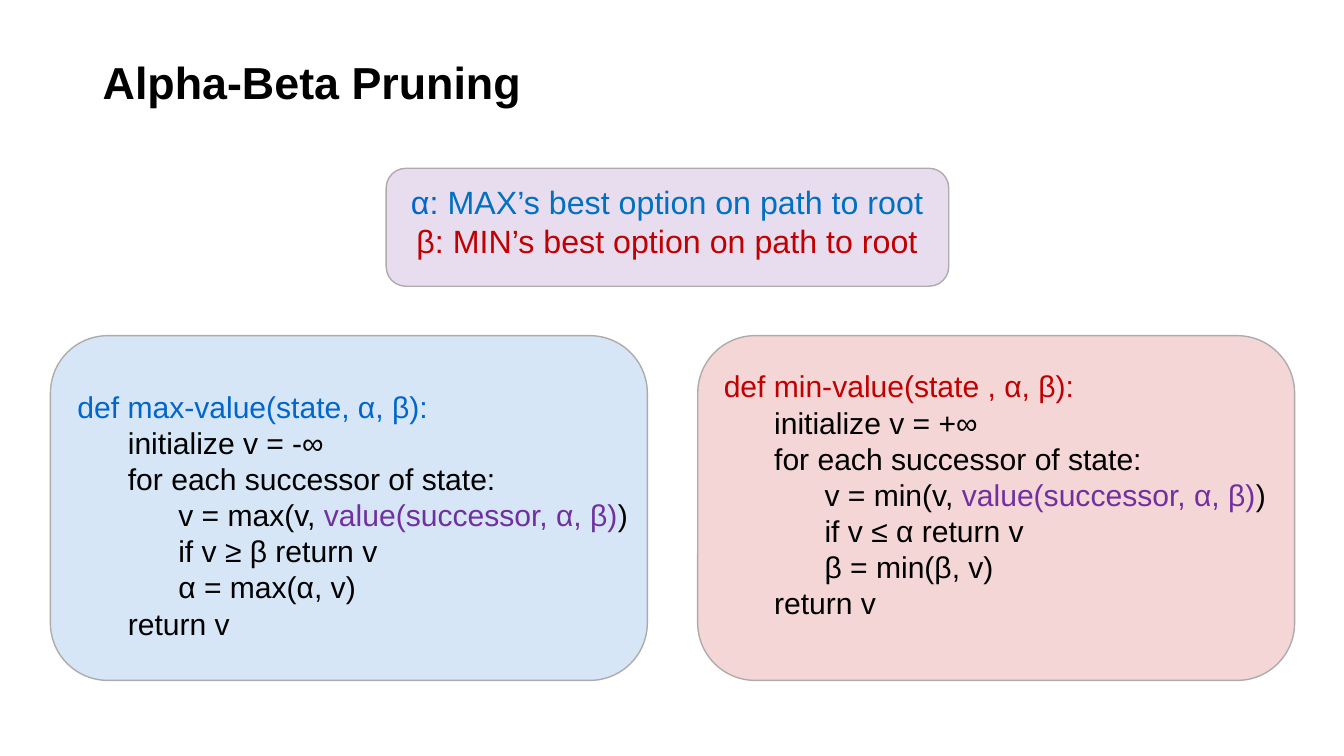
from pptx import Presentation
from pptx.dml.color import RGBColor
from pptx.enum.shapes import MSO_SHAPE
from pptx.enum.text import MSO_ANCHOR, PP_ALIGN
from pptx.oxml.ns import qn
from pptx.util import Inches, Pt
from lxml.etree import SubElement

FONT = "Arial"
COLORS = {
    "black": "000000",
    "max": "0066CC",
    "max_text": "0070C0",
    "min": "C00000",
    "call": "7030A0",
    "outline": "AFABAB",
}
TINT_OPACITY = 16  # percent
INDENT_STEP = 0.5  # inches per code level


def color(name):
    return RGBColor.from_string(COLORS[name])


def add_panel(slide, box, tint):
    """Rounded panel with a pale, see-through tint."""
    shape = slide.shapes.add_shape(MSO_SHAPE.ROUNDED_RECTANGLE, *map(Inches, box))
    shape.shadow.inherit = False
    shape.fill.solid()
    shape.fill.fore_color.rgb = color(tint)
    fill_color = shape._element.spPr.find(qn("a:solidFill"))[0]
    SubElement(fill_color, qn("a:alpha"), val=str(TINT_OPACITY * 1000))
    shape.line.color.rgb = color("outline")
    shape.line.width = Pt(1)


def add_text(slide, box, lines, size, bold=False, align=PP_ALIGN.LEFT,
             anchor=MSO_ANCHOR.TOP, spacing=0.8, gap=0):
    """Text box; each line is (indent in inches, [(text, color), ...])."""
    frame = slide.shapes.add_textbox(*map(Inches, box)).text_frame
    frame.word_wrap = True
    frame.vertical_anchor = anchor
    for index, (indent, runs) in enumerate(lines):
        paragraph = frame.add_paragraph() if index else frame.paragraphs[0]
        paragraph.alignment = align
        paragraph.line_spacing = spacing
        if index:
            paragraph.space_before = Pt(gap)
        paragraph._p.get_or_add_pPr().set("marL", str(Inches(indent)))
        for text, color_name in runs:
            run = paragraph.add_run()
            run.text = text
            run.font.name = FONT
            run.font.size = Pt(size)
            run.font.bold = bold
            run.font.color.rgb = color(color_name)


def add_title(slide, box):
    add_text(slide, box, [(0, [("Alpha-Beta Pruning", "black")])], 32,
             bold=True, anchor=MSO_ANCHOR.MIDDLE, spacing=0.9)


def add_legend(slide, box):
    """Meaning of alpha and beta, centred in a panel."""
    left, top, width, height = box
    add_panel(slide, box, "call")
    lines = [
        (0, [("α: ", "max"), ("MAX’s best option on path to root", "max_text")]),
        (0, [("β: MIN’s best option on path to root", "min")]),
    ]
    add_text(slide, (left, top + 0.16, width, height - 0.16), lines, 23,
             align=PP_ALIGN.CENTER, gap=5.8)


def add_code(slide, box, text_offset, tint, header, start, function, test, update):
    """Pseudocode of one player in a tinted panel."""
    left, top, width, height = box
    shift_x, shift_y = text_offset
    add_panel(slide, box, tint)
    code = [
        (0, [(header, tint)]),
        (1, [(f"initialize v = {start}", "black")]),
        (1, [("for each successor of state:", "black")]),
        (2, [(f"v = {function}(v, ", "black"),
             ("value(successor, α, β)", "call"), (")", "black")]),
        (2, [(f"if {test} return v", "black")]),
        (2, [(update, "black")]),
        (1, [("return v", "black")]),
    ]
    lines = [(level * INDENT_STEP, runs) for level, runs in code]
    add_text(slide, (left + shift_x, top + shift_y, width, 2.5), lines, 21.5, gap=5.2)


def main():
    presentation = Presentation()
    presentation.slide_width = Inches(13.33)
    presentation.slide_height = Inches(7.5)
    slide = presentation.slides.add_slide(presentation.slide_layouts[6])

    add_title(slide, (0.92, 0.4, 11.5, 0.89))
    add_legend(slide, (3.83, 1.67, 5.58, 1.17))
    # MAX on the left, MIN on the right
    add_code(slide, (0.5, 3.33, 5.92, 3.42), (0.17, 0.54), "max",
             "def max-value(state, α, β):", "-∞", "max", "v ≥ β", "α = max(α, v)")
    add_code(slide, (6.92, 3.33, 5.92, 3.42), (0.16, 0.34), "min",
             "def min-value(state , α, β):", "+∞", "min", "v ≤ α", "β = min(β, v)")

    presentation.save("out.pptx")


if __name__ == "__main__":
    main()
